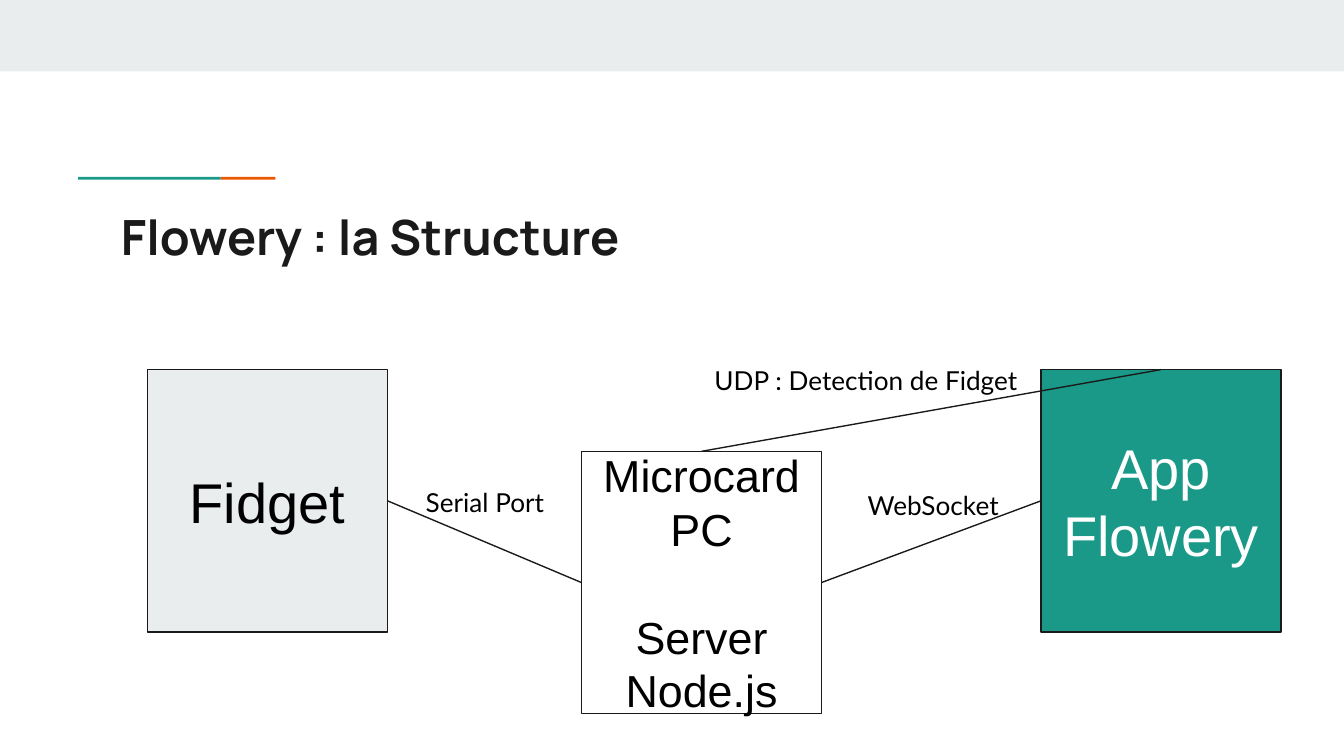
from lxml import etree
from pptx import Presentation
from pptx import util as u
from pptx.dml import color
from pptx.enum import shapes, text
from pptx.oxml import ns

Pt = u.Pt
HUES = {"ink": "1A1A1A", "pale": "E9EDEE", "teal": "1A9988",
        "red": "EB5600", "white": "FFFFFF", "black": "000000"}
TOP, LEFT, BASE, RIGHT = range(4)
NODE_W, NODE_H = 128.6, 140.6


def hue(name):
    return color.RGBColor.from_string(HUES[name])


def style(para, face, size, tint):
    font = para.font
    font.name, font.size = face, Pt(size)
    font.color.rgb = hue(tint)


def inset(frame):
    frame.word_wrap = True
    frame.margin_left = frame.margin_right = Pt(7.2)
    frame.margin_top = frame.margin_bottom = Pt(7.2)


def add_rect(slide, x, y, w, h, fill, line=None):
    rect = slide.shapes.add_shape(shapes.MSO_SHAPE.RECTANGLE,
                                  Pt(x), Pt(y), Pt(w), Pt(h))
    rect.shadow.inherit = False
    rect.fill.solid()
    rect.fill.fore_color.rgb = hue(fill)
    if line:
        rect.line.color.rgb = hue(line)
        rect.line.width = Pt(0.75)
    else:
        rect.line.fill.background()
    return rect


def add_head(slide, x, y, w):
    add_rect(slide, x, y, w, 38.3, "pale")
    add_rect(slide, x + 118.2, y + 94.7, 29.3, 1.5, "red")
    add_rect(slide, x + 41.8, y + 94.7, 76.4, 1.5, "teal")
    title = slide.shapes.title
    title.left, title.top = Pt(x + 57.6), Pt(y + 103.7)
    title.width, title.height = Pt(605.5), Pt(42.5)
    frame = title.text_frame
    inset(frame)
    frame.auto_size = text.MSO_AUTO_SIZE.NONE
    frame.vertical_anchor = text.MSO_ANCHOR.TOP
    para = frame.paragraphs[0]
    para.text = "Flowery : la Structure"
    para.alignment = text.PP_ALIGN.LEFT
    style(para, "Manrope", 26, "ink")
    para.font.bold = True


def add_node(slide, x, y, lines, size, fill, tint, gap=0):
    node = add_rect(slide, x, y, NODE_W, NODE_H, fill, "ink")
    frame = node.text_frame
    inset(frame)
    frame.vertical_anchor = text.MSO_ANCHOR.MIDDLE
    frame.text = "\n".join(lines)
    for i, para in enumerate(frame.paragraphs):
        para.alignment = text.PP_ALIGN.CENTER
        if i and gap:
            para.space_before = Pt(gap)
        style(para, "Arial", size, tint)
    return node


def add_link(slide, start, side, end, goal):
    link = slide.shapes.add_connector(shapes.MSO_CONNECTOR.STRAIGHT, 0, 0, 0, 0)
    link.begin_connect(start, side)
    link.end_connect(end, goal)
    link.line.color.rgb = hue("ink")
    link.line.width = Pt(0.75)
    etree.SubElement(link._element.spPr, ns.qn("a:effectLst"))


def add_label(slide, x, y, w, h, words):
    frame = slide.shapes.add_textbox(Pt(x), Pt(y), Pt(w), Pt(h)).text_frame
    inset(frame)
    frame.text = words
    style(frame.paragraphs[0], "Lato", 14, "black")


def add_graph(slide, x, y):
    toy = add_node(slide, x, y, ["Fidget"], 30, "pale", "black")
    hub = add_node(slide, x + 232.5, y + 43.8, ["Microcard PC", "Server Node.js"],
                   24, "white", "black", gap=28.8)
    app = add_node(slide, x + 478.7, y, ["App", "Flowery"], 30, "teal", "white")
    for ends in ((hub, RIGHT, app, LEFT), (hub, TOP, app, TOP),
                 (toy, RIGHT, hub, LEFT)):
        add_link(slide, *ends)
    add_label(slide, x + 296.7, y - 10, 180, 38.2, "UDP : Detection de Fidget")
    add_label(slide, x + 142, y + 55.4, 79.2, 28.8, "Serial Port")
    add_label(slide, x + 378.8, y + 56.9, 100, 24.5, "WebSocket")


def main():
    deck = Presentation()
    deck.slide_width, deck.slide_height = Pt(720), Pt(405)
    slide = deck.slides.add_slide(deck.slide_layouts[5])
    add_head(slide, 0, 0, 720)
    add_graph(slide, 79, 198)
    deck.save("out.pptx")


if __name__ == "__main__":
    main()
